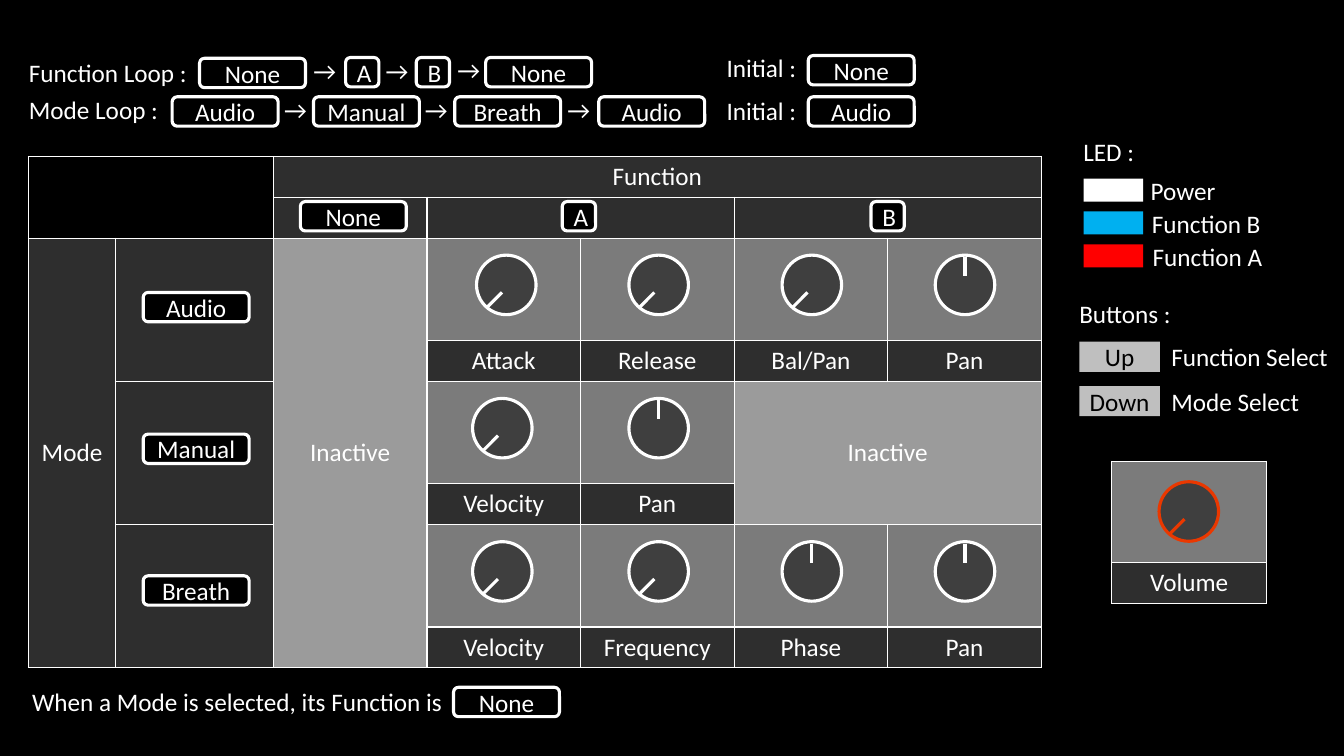
import pptx
import pptx.dml.color
import pptx.enum.shapes
import pptx.enum.text
import pptx.oxml
import pptx.oxml.ns
import pptx.util
from pptx.util import Cm

RGBColor = pptx.dml.color.RGBColor
Shape = pptx.enum.shapes.MSO_SHAPE
Align = pptx.enum.text.PP_ALIGN
Anchor = pptx.enum.text.MSO_ANCHOR

BLACK = RGBColor(0x00, 0x00, 0x00)
WHITE = RGBColor(0xFF, 0xFF, 0xFF)
CHARCOAL = RGBColor(0x2E, 0x2E, 0x2E)
DIAL = RGBColor(0x3F, 0x3F, 0x3F)
PANEL = RGBColor(0x7B, 0x7B, 0x7B)
INACTIVE = RGBColor(0x9B, 0x9B, 0x9B)
BUTTON = RGBColor(0xBF, 0xBF, 0xBF)
BLUE = RGBColor(0x00, 0xB0, 0xF0)
RED = RGBColor(0xFF, 0x00, 0x00)
ORANGE = RGBColor(0xEA, 0x38, 0x00)

LABEL_ROW = 1.03
KNOB_ROW = 2.58
MODE_STEP = KNOB_ROW + LABEL_ROW


class Panel:
    font = "Calibri"
    size = pptx.util.Pt(18)
    stroke = pptx.util.Pt(2.25)
    border = pptx.util.Pt(1)

    def __init__(self, page):
        self.page = page
        page.background.fill.solid()
        page.background.fill.fore_color.rgb = BLACK

    def add_span(self, frame, text, align, color=WHITE):
        para = frame.paragraphs[0]
        para.alignment = align
        span = para.add_run()
        span.text = text
        span.font.name = self.font
        span.font.size = self.size
        span.font.color.rgb = color

    def text(self, text, left, top, width):
        box = self.page.shapes.add_textbox(Cm(left), Cm(top), Cm(width), Cm(1.03))
        box.text_frame.word_wrap = False
        box.text_frame.auto_size = pptx.enum.text.MSO_AUTO_SIZE.SHAPE_TO_FIT_TEXT
        self.add_span(box.text_frame, text, Align.LEFT)

    def shape(self, kind, left, top, width, height, fill, line=None):
        box = self.page.shapes.add_shape(kind, Cm(left), Cm(top), Cm(width), Cm(height))
        box.shadow.inherit = False
        box.fill.solid()
        box.fill.fore_color.rgb = fill
        if line is None:
            box.line.fill.background()
        else:
            box.line.color.rgb = line
            box.line.width = self.stroke
        return box

    def pill(self, text, left, top):
        width = 0.84 if len(text) == 1 else 2.67
        box = self.shape(Shape.ROUNDED_RECTANGLE, left, top, width, 0.74, BLACK, WHITE)
        box.text_frame.vertical_anchor = Anchor.MIDDLE
        self.add_span(box.text_frame, text, Align.CENTER)

    def button(self, text, left, top):
        box = self.shape(Shape.RECTANGLE, left, top, 2.03, 0.76, BUTTON)
        frame = box.text_frame
        frame.margin_left = frame.margin_right = 0
        frame.vertical_anchor = Anchor.MIDDLE
        self.add_span(frame, text, Align.CENTER, BLACK)

    def knob(self, left, top, upright=False, color=WHITE):
        self.shape(Shape.OVAL, left, top, 1.5, 1.5, DIAL, color)
        x1, y1, x2, y2 = (0.75, 0.05, 0.75, 0.53) if upright else (0.28, 1.3, 0.64, 0.94)
        pointer = self.page.shapes.add_connector(
            pptx.enum.shapes.MSO_CONNECTOR.STRAIGHT,
            Cm(left + x1), Cm(top + y1), Cm(left + x2), Cm(top + y2))
        pointer.line.color.rgb = color
        pointer.line.width = self.stroke
        properties = pointer._element.spPr
        properties.append(pptx.oxml.parse_xml(
            "<a:effectLst %s/>" % pptx.oxml.ns.nsdecls("a")))

    def table(self, left, top, widths, heights):
        grid = self.page.shapes.add_table(
            len(heights), len(widths), Cm(left), Cm(top),
            Cm(sum(widths)), Cm(sum(heights))).table
        grid.first_row = grid.horz_banding = False
        for column, width in zip(grid.columns, widths):
            column.width = Cm(width)
        for row, height in zip(grid.rows, heights):
            row.height = Cm(height)
        for cell in grid.iter_cells():
            properties = cell._tc.get_or_add_tcPr()
            for side in ("lnL", "lnR", "lnT", "lnB"):
                properties.append(pptx.oxml.parse_xml(
                    '<a:%s %s w="%d"><a:solidFill><a:srgbClr val="%s"/></a:solidFill></a:%s>'
                    % (side, pptx.oxml.ns.nsdecls("a"), self.border, WHITE, side)))
            cell.fill.background()
        return grid

    def cell(self, grid, row, column, fill, text=None, rows=1, columns=1):
        cell = grid.cell(row, column)
        if rows * columns > 1:
            cell.merge(grid.cell(row + rows - 1, column + columns - 1))
        cell.fill.solid()
        cell.fill.fore_color.rgb = fill
        cell.vertical_anchor = Anchor.MIDDLE
        if text:
            self.add_span(cell.text_frame, text, Align.CENTER)


deck = pptx.Presentation()
deck.slide_width, deck.slide_height = Cm(33.87), Cm(19.05)
panel = Panel(deck.slides.add_slide(deck.slide_layouts[6]))

modes = [
    ("Audio", [("Attack", 12.01, False), ("Release", 15.85, False),
               ("Bal/Pan", 19.71, False), ("Pan", 23.57, True)]),
    ("Manual", [("Velocity", 11.91, False), ("Pan", 15.85, True)]),
    ("Breath", [("Velocity", 11.91, False), ("Frequency", 15.85, False),
                ("Phase", 19.71, True), ("Pan", 23.57, True)]),
]

grid = panel.table(0.72, 3.94, [2.19, 3.98] + [3.87] * 5,
                   [LABEL_ROW] * 2 + [KNOB_ROW, LABEL_ROW] * len(modes))
grid.cell(0, 0).merge(grid.cell(1, 1))
panel.cell(grid, 0, 2, CHARCOAL, "Function", columns=5)
panel.cell(grid, 1, 2, CHARCOAL)
panel.cell(grid, 1, 3, CHARCOAL, columns=2)
panel.cell(grid, 1, 5, CHARCOAL, columns=2)
panel.cell(grid, 2, 0, CHARCOAL, "Mode", rows=6)
panel.cell(grid, 2, 2, INACTIVE, "Inactive", rows=6)
panel.cell(grid, 4, 5, INACTIVE, "Inactive", rows=2, columns=2)

for index, (mode, knobs) in enumerate(modes):
    row = 2 + 2 * index
    panel.cell(grid, row, 1, CHARCOAL, rows=2)
    panel.pill(mode, 3.61, 7.37 + 3.57 * index)
    for column, (label, left, upright) in enumerate(knobs, 3):
        panel.cell(grid, row, column, PANEL)
        panel.cell(grid, row + 1, column, CHARCOAL, label)
        panel.knob(left, 6.43 + MODE_STEP * index, upright)

for text, left in [("None", 7.57), ("A", 14.17), ("B", 21.95)]:
    panel.pill(text, left, 5.08)

for text, left, top, width in [
        ("Function Loop :", 0.48, 1.32, 4.55), ("Mode Loop :", 0.48, 2.24, 3.81),
        ("Initial :", 18.06, 1.19, 2.29), ("Initial :", 18.06, 2.29, 2.29),
        ("LED :", 27.05, 3.3, 1.8), ("Buttons :", 26.95, 7.39, 2.87),
        ("When a Mode is selected, its Function is ", 0.56, 17.17, 11.46)]:
    panel.text(text, left, top, width)

for text, left, top in [
        ("None", 5.03, 1.47), ("A", 8.71, 1.45), ("B", 10.49, 1.45),
        ("None", 12.24, 1.45), ("None", 20.37, 1.4),
        ("Audio", 4.34, 2.44), ("Manual", 7.9, 2.44), ("Breath", 11.46, 2.44),
        ("Audio", 15.09, 2.44), ("Audio", 20.37, 2.44), ("None", 11.43, 17.32)]:
    panel.pill(text, left, top)

for left, top in [(7.65, 1.27), (9.47, 1.27), (11.28, 1.24),
                  (6.91, 2.26), (10.46, 2.24), (14.05, 2.26)]:
    panel.text("→", left, top, 1.09)

for index, (text, color, left, width) in enumerate([
        ("Power", WHITE, 28.75, 2.16), ("Function B", BLUE, 28.78, 3.28),
        ("Function A", RED, 28.8, 3.3)]):
    panel.shape(Shape.RECTANGLE, 27.31, 4.5 + 0.83 * index, 1.5, 0.58, color)
    panel.text(text, left, 4.29 + 0.83 * index, width)

for index, (name, text, width) in enumerate([
        ("Up", "Function Select", 4.5), ("Down", "Mode Select", 3.78)]):
    panel.button(name, 27.2, 8.61 + 1.12 * index)
    panel.text(text, 29.27, 8.48 + 1.12 * index, width)

volume = panel.table(28.02, 11.63, [3.9], [2.54, LABEL_ROW])
panel.cell(volume, 0, 0, PANEL)
panel.cell(volume, 1, 0, CHARCOAL, "Volume")
panel.knob(29.21, 12.14, color=ORANGE)

deck.save("out.pptx")
